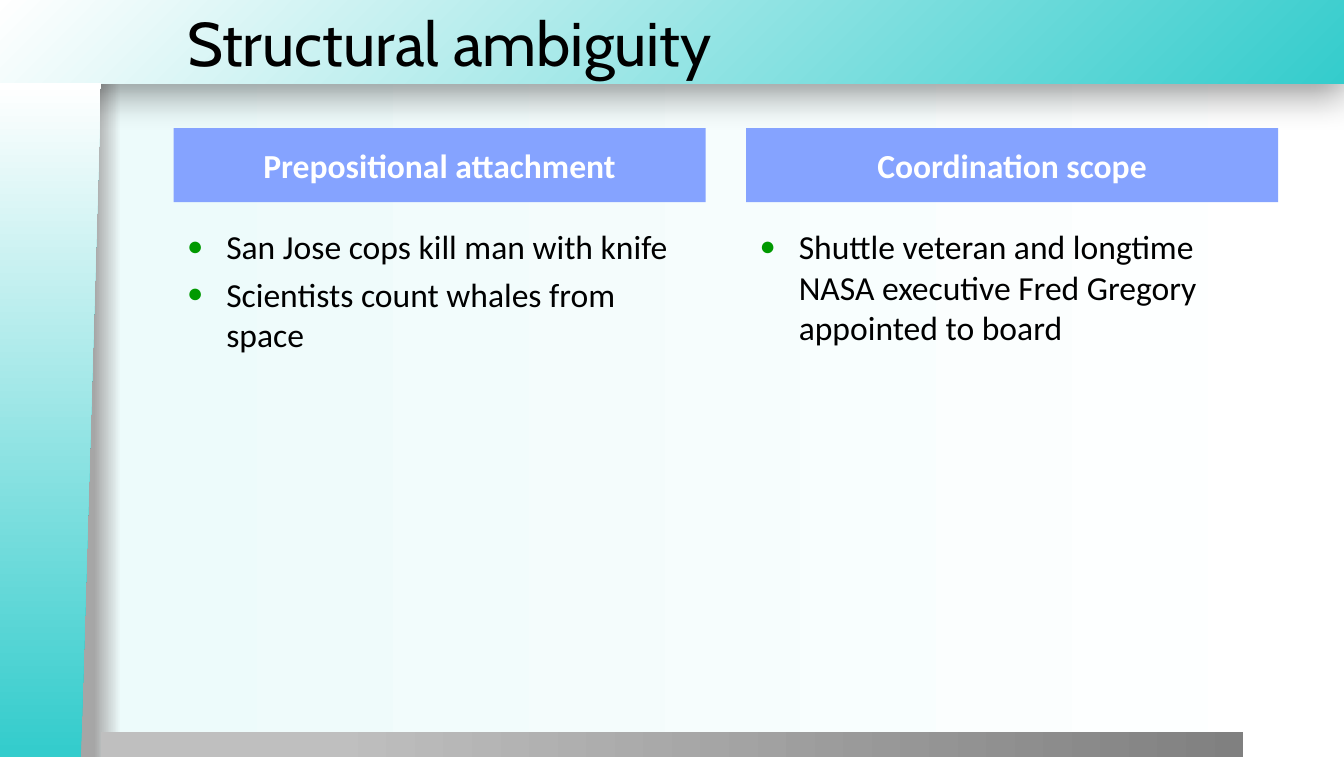
from dataclasses import dataclass

from lxml import etree
from pptx import Presentation
from pptx.dml.color import RGBColor
from pptx.enum.shapes import MSO_SHAPE as Shape
from pptx.enum.text import MSO_ANCHOR as Anchor, MSO_AUTO_SIZE as AutoSize, PP_ALIGN as Align
from pptx.oxml import parse_xml
from pptx.oxml.ns import nsdecls, qn
from pptx.util import Pt

COLORS = {
    "aqua": "34CCCC",
    "mist": "EDFBFB",
    "white": "FFFFFF",
    "black": "000000",
    "edge": "A6A6A6",
    "silver": "BFBFBF",
    "gray": "808080",
    "header": "85A3FF",
    "bullet": "009900",
}
LINEAR = '<a:lin ang="0" scaled="0"/>'
FROM_CORNER = '<a:path path="circle"><a:fillToRect l="100000" t="100000"/></a:path>'
BULLET_INDENT = 21


@dataclass(frozen=True)
class Band:
    """A decorative shape with a gradient of (percent, color name) stops."""
    kind: Shape
    box: tuple[float, float, float, float]
    stops: tuple[tuple[int, str], ...]
    direction: str = LINEAR
    rotation: int = 0
    flipped: bool = False
    shadow: bool = False


@dataclass(frozen=True)
class Column:
    """A heading with its list, and the indexes of their placeholders."""
    left: float
    heading: str
    items: tuple[str, ...]
    heading_index: int
    list_index: int


BANDS = [
    Band(Shape.RECTANGLE, (-0.5, 0, 720.5, 44.6),
         ((0, "aqua"), (100, "white")), FROM_CORNER, shadow=True),
    Band(Shape.RECTANGLE, (54, 392, 612, 14), ((20, "silver"), (100, "gray"))),
    Band(Shape.FLOWCHART_MANUAL_INPUT, (-153.7, 198.2, 361.5, 54),
         ((1, "aqua"), (100, "white")), rotation=270, flipped=True),
]
COLUMNS = [
    Column(93, "Prepositional attachment",
           ("San Jose cops kill man with knife", "Scientists count whales from space"), 1, 2),
    Column(399.7, "Coordination scope",
           ("Shuttle veteran and longtime NASA executive Fred Gregory appointed to board",), 3, 4),
]


def color(name: str) -> RGBColor:
    return RGBColor.from_string(COLORS[name])


def set_gradient(properties, stops, direction: str) -> None:
    """Replace the solid fill in the given properties by a gradient."""
    stop_xml = "".join(
        f'<a:gs pos="{percent * 1000}"><a:srgbClr val="{COLORS[name]}"/></a:gs>'
        for percent, name in stops)
    gradient = parse_xml(f'<a:gradFill {nsdecls("a")} rotWithShape="1">'
                         f'<a:gsLst>{stop_xml}</a:gsLst>{direction}</a:gradFill>')
    properties.replace(properties.find(qn("a:solidFill")), gradient)


def place(shape, left: float, top: float, width: float, height: float) -> None:
    shape.left, shape.top, shape.width, shape.height = map(Pt, (left, top, width, height))


def draw_band(slide, band: Band, depth: int) -> None:
    shape = slide.shapes.add_shape(band.kind, *map(Pt, band.box))
    shape.rotation = band.rotation
    shape.line.fill.background()
    shape.shadow.inherit = False
    shape.fill.solid()
    properties = shape.element.spPr
    set_gradient(properties, band.stops, band.direction)
    if band.flipped:
        properties.find(qn("a:xfrm")).set("flipV", "1")
    if band.shadow:
        properties.find(qn("a:effectLst")).append(parse_xml(
            f'<a:outerShdw {nsdecls("a")} blurRad="{Pt(20)}" dist="{Pt(6)}" dir="5400000" '
            f'algn="t" rotWithShape="0"><a:srgbClr val="{COLORS["black"]}">'
            '<a:alpha val="40000"/></a:srgbClr></a:outerShdw>'))
    # Bands lie behind the placeholders, after the two leading tree properties
    slide.shapes.title.element.getparent().insert(2 + depth, shape.element)


def add_bullet(paragraph) -> None:
    properties = paragraph._p.get_or_add_pPr()
    properties.set("marL", str(Pt(BULLET_INDENT)))
    properties.set("indent", str(-Pt(BULLET_INDENT)))
    bullet_color = etree.SubElement(properties, qn("a:buClr"))
    etree.SubElement(bullet_color, qn("a:srgbClr"), val=COLORS["bullet"])
    etree.SubElement(properties, qn("a:buSzPct"), val="80000")
    etree.SubElement(properties, qn("a:buFont"), typeface="Arial")
    etree.SubElement(properties, qn("a:buChar"), char="●")


def write(shape, texts: tuple[str, ...], font: str, size: float, ink: str,
          anchor: Anchor, align: Align, bold: bool = False, bullets: bool = False) -> None:
    frame = shape.text_frame
    frame.word_wrap = True
    frame.auto_size = AutoSize.NONE
    frame.vertical_anchor = anchor
    for number, text in enumerate(texts):
        paragraph = frame.add_paragraph() if number else frame.paragraphs[0]
        if bullets:
            add_bullet(paragraph)
        paragraph.alignment = align
        paragraph.space_before = Pt(3.6 if number else 0)
        run = paragraph.add_run()
        run.text = text
        run.font.name, run.font.size, run.font.bold = font, Pt(size), bold
        run.font.color.rgb = color(ink)


def draw_column(slide, column: Column) -> None:
    placeholders = {item.placeholder_format.idx: item for item in slide.placeholders}
    heading = placeholders[column.heading_index]
    place(heading, column.left, 68.6, 285, 39.6)
    heading.fill.solid()
    heading.fill.fore_color.rgb = color("header")
    write(heading, (column.heading,), "Calibri", 18, "white",
          Anchor.MIDDLE, Align.CENTER, bold=True)
    item_list = placeholders[column.list_index]
    place(item_list, column.left, 117.6, 285, 268.5)
    write(item_list, column.items, "Calibri", 18, "black",
          Anchor.TOP, Align.LEFT, bullets=True)


def main() -> None:
    presentation = Presentation()
    presentation.slide_width, presentation.slide_height = Pt(720), Pt(405.36)
    slide = presentation.slides.add_slide(presentation.slide_layouts[4])

    # Background and decoration
    slide.background.fill.solid()
    set_gradient(slide.element.find(".//" + qn("p:bgPr")),
                 ((7, "edge"), (9, "mist"), (100, "white")), LINEAR)
    for depth, band in enumerate(BANDS):
        draw_band(slide, band, depth)

    # Title
    title = slide.shapes.title
    place(title, 93, 0, 627, 44.6)
    write(title, ("Structural ambiguity",), "Cabin", 33, "black", Anchor.MIDDLE, Align.LEFT)

    # Two columns
    for column in COLUMNS:
        draw_column(slide, column)

    presentation.save("out.pptx")


if __name__ == "__main__":
    main()
